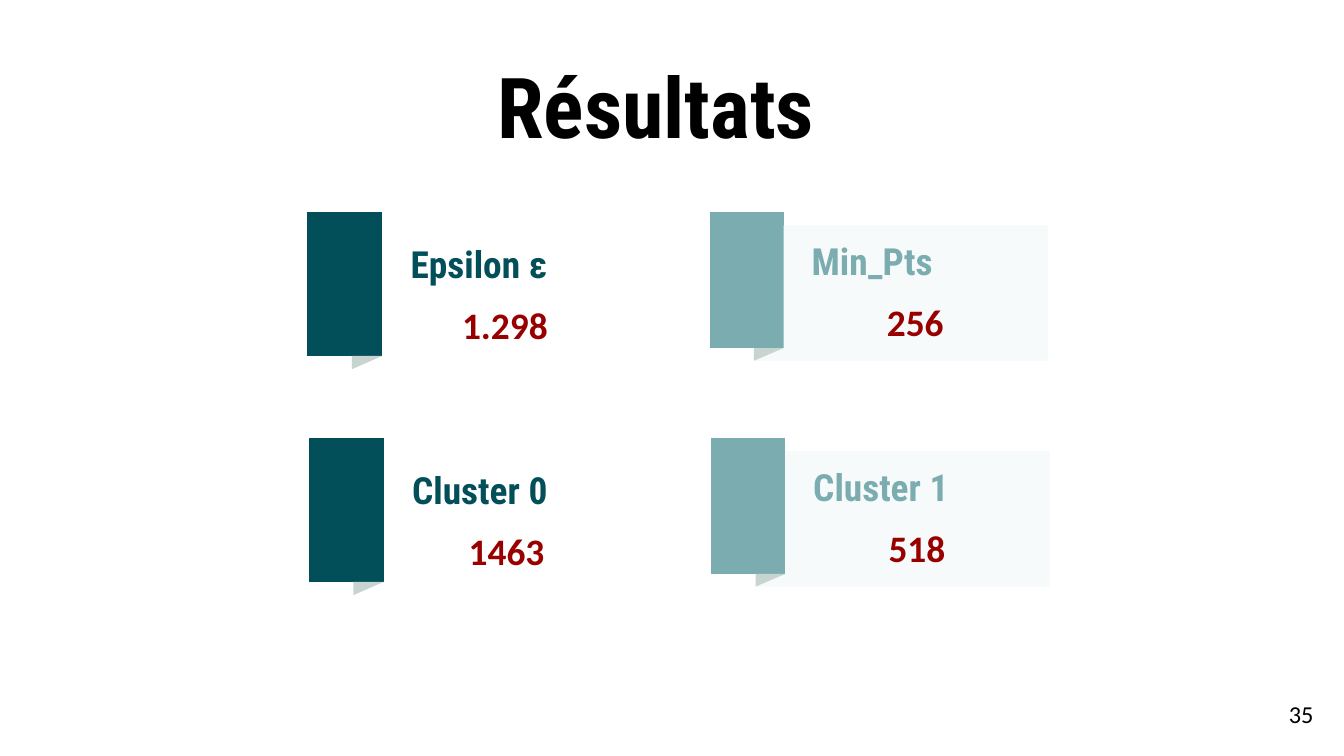
from typing import NamedTuple

from pptx import Presentation
from pptx.dml.color import RGBColor
from pptx.enum import text as t
from pptx.util import Cm, Pt

HUES = {
    "ink": "000000",
    "dark": "024F59",
    "light": "7BACB0",
    "fold": "C7D4CF",
    "panel": "F7FAFB",
    "value": "980000",
}
HEAD = "Roboto Condensed"
BODY = "Calibri"


class Box(NamedTuple):
    x: float
    y: float
    w: float
    h: float


class Style(NamedTuple):
    hue: str
    band: tuple[float, float]
    fold: tuple[float, float]
    label: Box
    value: Box
    panel: float = 0


class Card(NamedTuple):
    label: str
    value: str


DARK = Style("dark", (1.41, 2.72), (0.57, 0.25),
             Box(1.7, 0.3, 4.47, 0.79), Box(1.5, 1.45, 4.47, 1.09))
LIGHT = Style("light", (1.4, 2.57), (0.56, 0.24),
              Box(1.68, 0.25, 4.42, 0.74), Box(1.68, 1.4, 4.42, 1.02), 6.4)
COLS = [(5.81, DARK), (13.41, LIGHT)]
ROWS = [
    [Card("Epsilon ε", "1.298"), Card("Min_Pts", "256")],
    [Card("Cluster 0", "1463"), Card("Cluster 1", "518")],
]
TOP = 4.01
STEP_X = 0.03
STEP_Y = 4.27


def write(slide, words: str, box: Box, *, font: str = BODY, size: float = 20,
          hue: str = "ink", bold: bool = True, align=t.PP_ALIGN.CENTER,
          anchor=t.MSO_ANCHOR.TOP) -> None:
    frame = slide.shapes.add_textbox(*map(Cm, box)).text_frame
    frame.word_wrap = True
    frame.vertical_anchor = anchor
    frame.margin_left = frame.margin_right = Cm(0.25)
    frame.margin_top = frame.margin_bottom = Cm(0.25)
    para = frame.paragraphs[0]
    para.alignment = align
    run = para.add_run()
    run.text = words
    run.font.name = font
    run.font.size = Pt(size)
    run.font.bold = bold
    run.font.color.rgb = RGBColor.from_string(HUES[hue])


def trace(slide, points: list[tuple[float, float]], hue: str) -> None:
    spots = [(Cm(x), Cm(y)) for x, y in points]
    pen = slide.shapes.build_freeform(*spots[0])
    pen.add_line_segments(spots[1:], close=True)
    shape = pen.convert_to_shape()
    shape.shadow.inherit = False
    shape.fill.solid()
    shape.fill.fore_color.rgb = RGBColor.from_string(HUES[hue])
    shape.line.fill.background()


def draw(slide, card: Card, style: Style, x: float, y: float) -> None:
    right, base = x + style.band[0], y + style.band[1]
    tip, low = right - style.fold[0], base + style.fold[1]
    trace(slide, [(x, y), (x, base), (right, base), (right, y)], style.hue)
    if style.panel:
        edge, top = x + style.panel, y + 0.25
        trace(slide, [(right, top), (right, base), (tip, low),
                      (edge, low), (edge, top)], "panel")
    trace(slide, [(tip, base), (tip, low), (right, base)], "fold")
    label, value = (b._replace(x=x + b.x, y=y + b.y)
                    for b in (style.label, style.value))
    write(slide, card.value, value, hue="value")
    write(slide, card.label, label, font=HEAD, hue=style.hue,
          align=t.PP_ALIGN.LEFT)


def main() -> None:
    deck = Presentation()
    deck.slide_width, deck.slide_height = Cm(25.4), Cm(14.29)
    slide = deck.slides.add_slide(deck.slide_layouts[6])
    write(slide, "35", Box(23.55, 12.95, 1.52, 1.09), size=13, bold=False,
          align=t.PP_ALIGN.RIGHT, anchor=t.MSO_ANCHOR.MIDDLE)
    write(slide, "Résultats", Box(6.12, 0.79, 12.55, 1.73), font=HEAD, size=45)
    for row, cards in enumerate(ROWS):
        for card, (left, style) in zip(cards, COLS):
            draw(slide, card, style, left + row * STEP_X, TOP + row * STEP_Y)
    deck.save("out.pptx")


if __name__ == "__main__":
    main()
